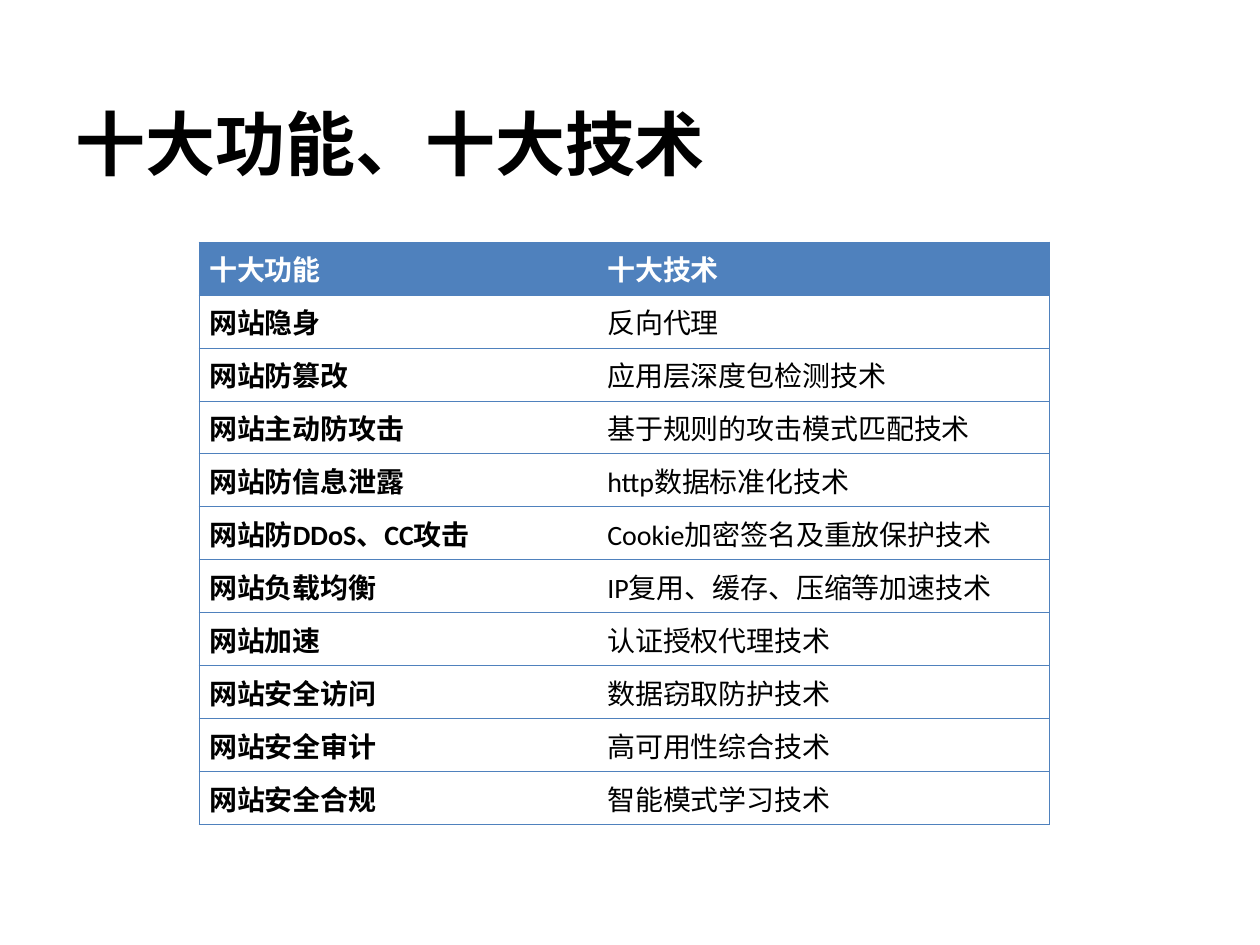
"""Build a slide with a two-column table of ten functions and ten technologies."""
from lxml import etree
from pptx import Presentation
from pptx import util as u
from pptx.dml.color import RGBColor
from pptx.enum import text
from pptx.oxml import ns

BLUE, WHITE, BLACK = "4F81BD", "FFFFFF", "000000"
ROWS = [
    ("十大功能", "十大技术"),
    ("网站隐身", "反向代理"),
    ("网站防篡改", "应用层深度包检测技术"),
    ("网站主动防攻击", "基于规则的攻击模式匹配技术"),
    ("网站防信息泄露", "http数据标准化技术"),
    ("网站防DDoS、CC攻击", "Cookie加密签名及重放保护技术"),
    ("网站负载均衡", "IP复用、缓存、压缩等加速技术"),
    ("网站加速", "认证授权代理技术"),
    ("网站安全访问", "数据窃取防护技术"),
    ("网站安全审计", "高可用性综合技术"),
    ("网站安全合规", "智能模式学习技术"),
]
COLUMN_WIDTHS = [3.16, 3.59]
ROW_HEIGHT = 0.42


def format_text(paragraph, name, size, color, bold, alignment):
    """Set the alignment of a paragraph and the font of its runs."""
    paragraph.alignment = alignment
    for run in paragraph.runs:
        run.font.name = name
        run.font.size = u.Pt(size)
        run.font.bold = bold
        run.font.color.rgb = RGBColor.from_string(color)


def set_borders(cell, visible_sides):
    """Draw thin blue lines on the visible sides and none on the others."""
    properties = cell._tc.get_or_add_tcPr()
    for side in "LRTB":
        line = etree.SubElement(properties, ns.qn(f"a:ln{side}"), w=str(u.Pt(0.45)))
        if side in visible_sides:
            fill = etree.SubElement(line, ns.qn("a:solidFill"))
            etree.SubElement(fill, ns.qn("a:srgbClr"), val=BLUE)
        else:
            etree.SubElement(line, ns.qn("a:noFill"))


presentation = Presentation()
presentation.slide_width = u.Inches(10)
presentation.slide_height = u.Inches(7.5)
slide = presentation.slides.add_slide(presentation.slide_layouts[5])

title = slide.shapes.title
title.left, title.top = u.Inches(0.5), u.Inches(0.75)
title.width, title.height = u.Inches(9), u.Inches(1.25)
title.text_frame.text = "十大功能、十大技术"
title.text_frame.vertical_anchor = text.MSO_ANCHOR.TOP
format_text(title.text_frame.paragraphs[0], "Arial", 40, BLACK, True, text.PP_ALIGN.LEFT)

table = slide.shapes.add_table(
    len(ROWS), len(COLUMN_WIDTHS), u.Inches(1.58), u.Inches(1.92),
    u.Inches(sum(COLUMN_WIDTHS)), u.Inches(ROW_HEIGHT * len(ROWS)),
).table
table.first_row = table.horz_banding = False
for column, width in zip(table.columns, COLUMN_WIDTHS):
    column.width = u.Inches(width)

for row_index, labels in enumerate(ROWS):
    table.rows[row_index].height = u.Inches(ROW_HEIGHT)
    is_header = row_index == 0
    for column_index, label in enumerate(labels):
        cell = table.cell(row_index, column_index)
        cell.margin_left = cell.margin_right = u.Inches(0.08)
        cell.margin_top = cell.margin_bottom = u.Inches(0.05)
        set_borders(cell, "LTB" if column_index == 0 else "RTB")
        if is_header:
            cell.fill.solid()
            cell.fill.fore_color.rgb = RGBColor.from_string(BLUE)
        else:
            cell.fill.background()
        cell.text_frame.text = label
        format_text(
            cell.text_frame.paragraphs[0], "Calibri", 16, WHITE if is_header else BLACK,
            is_header or column_index == 0, text.PP_ALIGN.JUSTIFY,
        )

presentation.save("out.pptx")
